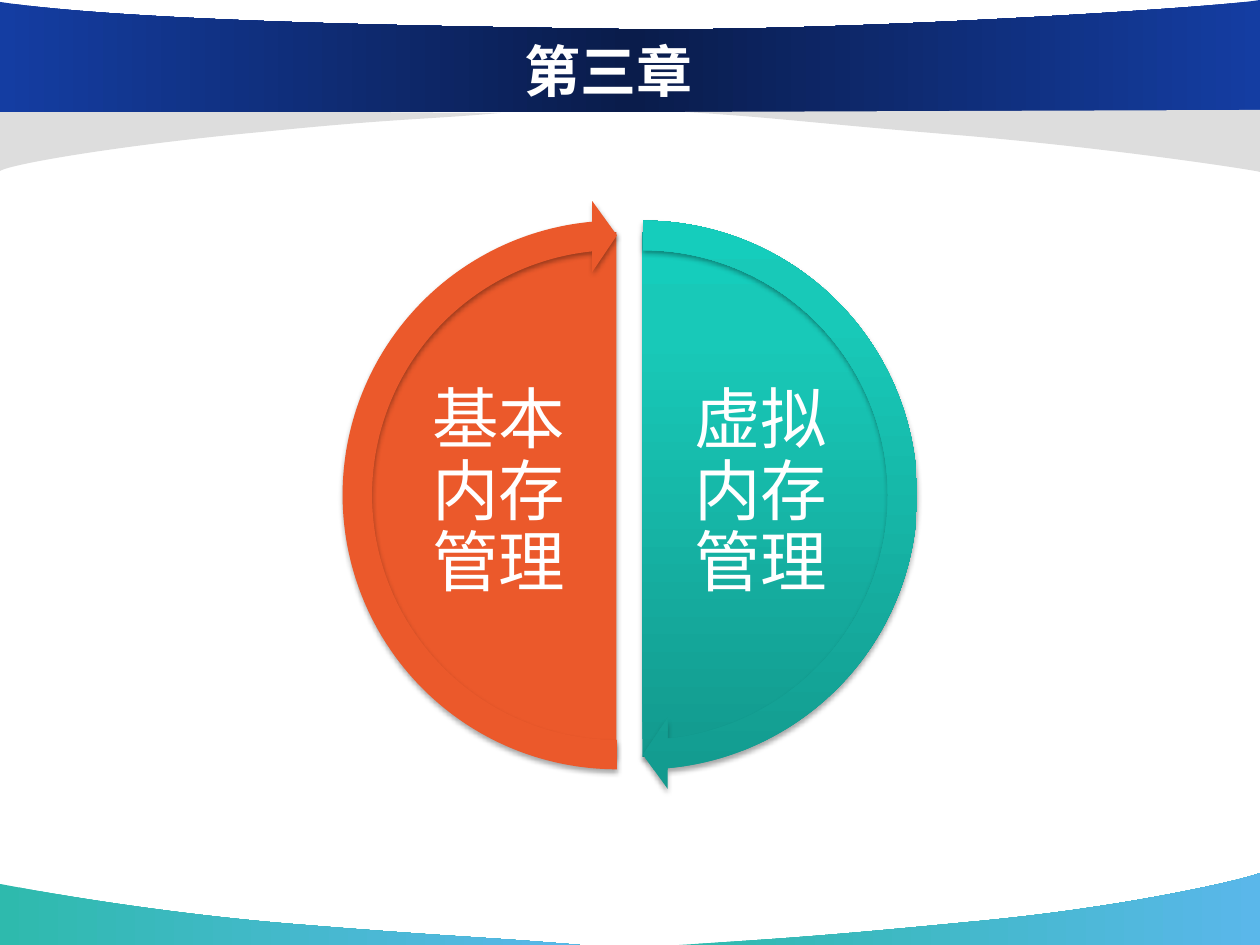
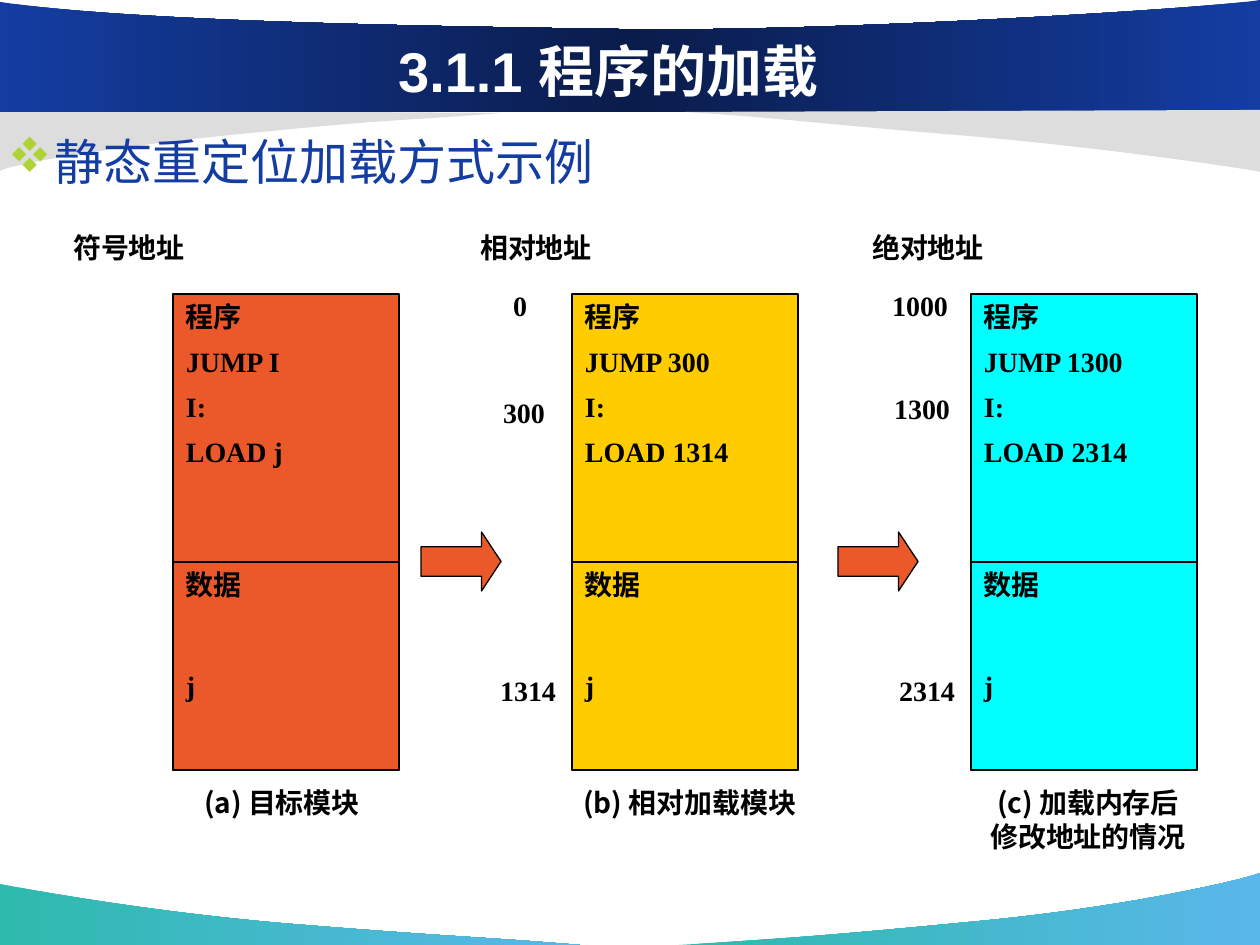
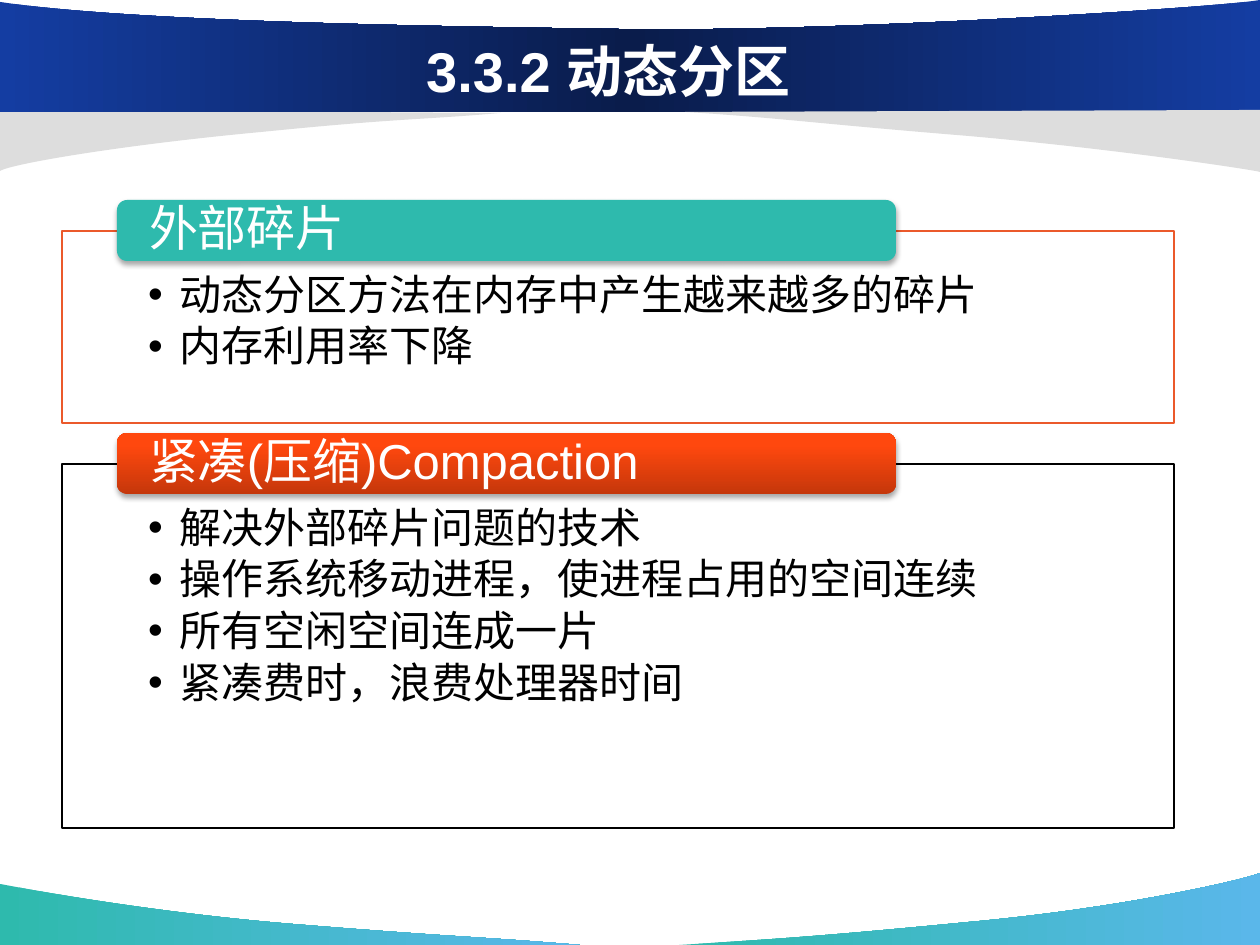
from lxml.etree import SubElement
from pptx import Presentation
from pptx.dml.color import RGBColor
from pptx.enum.shapes import MSO_SHAPE as Preset
from pptx.enum.text import MSO_ANCHOR as Anchor, PP_ALIGN as Align
from pptx.oxml.ns import qn
from pptx.util import Pt

SCALE = 914400 / 126
WIDTH, HEIGHT = 1260, 945
HAN_FONT = "Noto Sans CJK SC"

COLORS = {
    "white": "FFFFFF", "black": "000000", "grey": "DDDDDD", "blue": "143DA2",
    "navy": "0A1C4B", "teal": "2EBAAD", "sky": "5AB7EA", "orange": "EB592B",
    "yellow": "FFCC00", "cyan": "00FFFF", "lime": "AED337",
    "jade_dark": "139A8E", "jade": "18C9B8", "jade_light": "15CDBC",
    "rust": "C5370B", "flame": "FF480E", "flame_light": "FF4910",
}

FOOTER_GRADIENT = ([(0, "teal"), (100, "sky")], 0)
BANNER_GRADIENT = ([(0, "blue"), (50, "navy"), (100, "blue")], 0)
JADE_GRADIENT = ([(0, "jade_dark"), (80, "jade"), (100, "jade_light")], 90)
FLAME_GRADIENT = ([(0, "rust"), (80, "flame"), (100, "flame_light")], 90)

BANDS = [
    (FOOTER_GRADIENT, [(580, 945), (484, 937, 451, 937, 292, 924),
                       (134, 911, 1, 884, 0, 884), (0, 945)]),
    (FOOTER_GRADIENT, [(679, 945), (774, 939, 814, 937, 969, 922),
                       (1124, 908, 1247, 879, 1260, 873), (1260, 945)]),
    ("grey", [(501, 113), (422, 120, 401, 118, 262, 132),
              (122, 145, 11, 164, 0, 171), (0, 110)]),
    (BANNER_GRADIENT, [(0, 112), (1260, 112), (1260, 0),
                       (1215, 8, 823, 33, 614, 29), (404, 26, 127, 21, 0, 2)]),
    ("grey", [(685, 112), (781, 118, 809, 123, 968, 136),
              (1126, 150, 1259, 171, 1260, 172), (1260, 110)]),
]

MODULES = [
    {"left": 173, "fill": "orange", "heading": ("符号地址", -129),
     "code": ["程序", "JUMP I", "I:", "LOAD j"], "addresses": [],
     "caption": ["(a) 目标模块"], "caption_box": (-10, 238)},
    {"left": 572, "fill": "yellow", "heading": ("相对地址", -121),
     "code": ["程序", "JUMP 300", "I:", "LOAD 1314"],
     "addresses": [("0", -111, -11), ("300", -107, 96), ("1314", -103, 374)],
     "caption": ["(b) 相对加载模块"], "caption_box": (-9, 254)},
    {"left": 971, "fill": "cyan", "heading": ("绝对地址", -128),
     "code": ["程序", "JUMP 1300", "I:", "LOAD 2314"],
     "addresses": [("1000", -110, -11), ("1300", -108, 92), ("2314", -103, 374)],
     "caption": ["(c) 加载内存后", "修改地址的情况"], "caption_box": (-10, 254)},
]

TOPICS = [
    ("外部碎片", "teal", "orange", (62, 231, 1112, 192),
     ["动态分区方法在内存中产生越来越多的碎片", "内存利用率下降"]),
    ("紧凑(压缩)Compaction", FLAME_GRADIENT, "black", (62, 464, 1112, 364),
     ["解决外部碎片问题的技术", "操作系统移动进程，使进程占用的空间连续",
      "所有空闲空间连成一片", "紧凑费时，浪费处理器时间"]),
]


def px(length):
    """Turn px into EMU."""
    return round(length * SCALE)


def rgb(color):
    """Look up a palette colour."""
    return RGBColor.from_string(COLORS[color])


def paint(shape, fill=None, line=None, shadow=False):
    """Set fill, outline and shadow; a gradient fill is (stops, angle)."""
    if fill is None:
        shape.fill.background()
    elif isinstance(fill, str):
        shape.fill.solid()
        shape.fill.fore_color.rgb = rgb(fill)
    else:
        stops, angle = fill
        shape.fill.gradient()
        shape.fill.gradient_angle = angle
        stop_list = shape._element.spPr.find(qn("a:gradFill")).find(qn("a:gsLst"))
        for old_stop in list(stop_list):
            stop_list.remove(old_stop)
        for percent, color in stops:
            stop = SubElement(stop_list, qn("a:gs"), pos=str(percent * 1000))
            SubElement(stop, qn("a:srgbClr"), val=COLORS[color])
    if line:
        shape.line.color.rgb = rgb(line)
        shape.line.width = Pt(0.75)
    else:
        shape.line.fill.background()
    shape.shadow.inherit = False
    if shadow:
        effects = shape._element.spPr.find(qn("a:effectLst"))
        outer = SubElement(effects, qn("a:outerShdw"), blurRad=str(Pt(3.1)),
                           dist=str(Pt(1.8)), dir="5400000", rotWithShape="0")
        tint = SubElement(outer, qn("a:srgbClr"), val=COLORS["black"])
        SubElement(tint, qn("a:alpha"), val="35000")


def add_preset(slide, preset, box, fill=None, line=None, shadow=False, adjust=()):
    """Add a painted preset shape."""
    shape = slide.shapes.add_shape(preset, *map(px, box))
    for index, value in enumerate(adjust):
        shape.adjustments[index] = value
    paint(shape, fill, line, shadow)
    return shape


def write(shape, lines, size, color="black", font="Arial", bold=False,
          align=Align.LEFT, anchor=Anchor.TOP, insets=(13, 6, 13, 6),
          spacing=None, after=0):
    """Write styled paragraphs into a shape and return them."""
    frame = shape.text_frame
    frame.text = "\n".join(lines)
    frame.word_wrap = True
    frame.vertical_anchor = anchor
    (frame.margin_left, frame.margin_top,
     frame.margin_right, frame.margin_bottom) = map(px, insets)
    for paragraph in frame.paragraphs:
        paragraph.alignment = align
        paragraph.space_after = Pt(after)
        if spacing:
            paragraph.line_spacing = spacing
        for run in paragraph.runs:
            run.font.size = Pt(size)
            run.font.bold = bold
            run.font.color.rgb = rgb(color)
            run.font.name = font
            SubElement(run._r.get_or_add_rPr(), qn("a:ea"), typeface=HAN_FONT)
    return frame.paragraphs


def add_text(slide, box, lines, size, **style):
    """Add a text box."""
    return write(slide.shapes.add_textbox(*map(px, box)), lines, size, **style)


def add_bullet(paragraph, mark, indent, color, font):
    """Give a paragraph a hanging bullet."""
    properties = paragraph._p.get_or_add_pPr()
    properties.set("marL", str(px(indent)))
    properties.set("indent", str(-px(indent)))
    tint = SubElement(properties, qn("a:buClr"))
    SubElement(tint, qn("a:srgbClr"), val=COLORS[color])
    SubElement(properties, qn("a:buFont"), typeface=font)
    SubElement(properties, qn("a:buChar"), char=mark)


def add_band(slide, fill, outline):
    """Draw a band whose six-number segments are cubic curves."""
    ends = [(px(segment[-2]), px(segment[-1])) for segment in outline]
    builder = slide.shapes.build_freeform(*ends[0], scale=1.0)
    builder.add_line_segments(ends[1:], close=True)
    band = builder.convert_to_shape()
    sides = list(band._element.spPr.iter(qn("a:lnTo")))
    for side, segment in zip(sides, outline[1:]):
        if len(segment) == 6:
            side.tag = qn("a:cubicBezTo")
            side.remove(side[0])
            for x, y in zip(segment[::2], segment[1::2]):
                SubElement(side, qn("a:pt"), x=str(px(x) - band.left),
                           y=str(px(y) - band.top))
    paint(band, fill)


def start_slide(deck, title):
    """Add a slide with the shared bands and title."""
    slide = deck.slides.add_slide(deck.slide_layouts[6])
    for fill, outline in BANDS:
        add_band(slide, fill, outline)
    add_text(slide, (115, 31, 987, 78), [title], 32, color="white", bold=True,
             align=Align.CENTER, anchor=Anchor.MIDDLE)
    return slide


def add_cycle(slide, left, top):
    """Draw two half discs with their labels and circling arrows."""
    halves = [("虚拟内存管理", JADE_GRADIENT, 26, 345, (162, 54), 50.725),
              ("基本内存管理", "orange", 0, 83, (54, 162), 158.725)]
    for label, fill, shift, label_shift, angles, _ in halves:
        add_preset(slide, Preset.PIE, (left + shift + 32, top + 32, 525, 525),
                   fill, shadow=True, adjust=angles)
        add_text(slide, (left + label_shift, top + 169, 188, 249), [label], 38,
                 color="white", align=Align.CENTER, anchor=Anchor.MIDDLE,
                 insets=(6, 6, 6, 6), spacing=0.9)
    for _, fill, shift, _, angles, end in halves:
        add_preset(slide, Preset.CIRCULAR_ARROW, (left + shift, top, 590, 590), fill,
                   shadow=True, adjust=(0.05, 3.28, end, angles[0], 0.06))


def add_module(slide, module, top):
    """Draw one memory module with its addresses and caption."""
    left = module["left"]
    serif = {"font": "Times New Roman", "bold": True}
    centred = {"bold": True, "align": Align.CENTER}
    program = add_preset(slide, Preset.RECTANGLE, (left, top, 226, 476),
                         module["fill"], "black")
    write(program, module["code"], 16, after=6.4, **serif)
    data = add_preset(slide, Preset.RECTANGLE, (left, top + 268, 226, 208), line="black")
    write(data, ["数据", "j"], 16, **serif)[1].space_before = Pt(38)
    heading, shift = module["heading"]
    labels = [(heading, shift, -70, 170)]
    labels += [(*address, 118) for address in module["addresses"]]
    for label, across, down, width in labels:
        add_text(slide, (left + across, top + down, width, 59), [label], 16,
                 font="Times New Roman", **centred)
    shift, width = module["caption_box"]
    add_text(slide, (left + shift, top + 486, width, 59), module["caption"], 16,
             font=HAN_FONT, **centred)


def add_topic(slide, heading, tab_fill, border, box, points):
    """Draw a bordered list with a heading tab on its top edge."""
    left, top, _, _ = box
    panel = add_preset(slide, Preset.RECTANGLE, box, "white", border)
    tint = panel._element.spPr.find(qn("a:solidFill"))[0]
    SubElement(tint, qn("a:alpha"), val="90000")
    for paragraph in add_text(slide, box, points, 24, insets=(86, 43, 87, 24),
                              spacing=0.9, after=3.6):
        paragraph.level = 1
        add_bullet(paragraph, "•", 31, "black", "Arial")
    add_preset(slide, Preset.ROUNDED_RECTANGLE, (left + 55, top - 31, 779, 61),
               tab_fill, shadow=True)
    add_text(slide, (left + 58, top - 28, 774, 55), [heading], 28, color="white",
             anchor=Anchor.MIDDLE, insets=(29, 0, 29, 0), spacing=0.9)


def build_chapter(deck):
    """Build the chapter slide."""
    add_cycle(start_slide(deck, "第三章"), 322, 200)


def build_loading(deck):
    """Build the program loading slide."""
    slide = start_slide(deck, "3.1.1 程序的加载")
    topic = add_text(slide, (-5, 114, 1134, 683), ["静态重定位加载方式示例"], 28,
                     color="blue", spacing=1.2)
    add_bullet(topic[0], "v", 47, "lime", "Wingdings")
    for module in MODULES:
        add_module(slide, module, 294)
    for left in (838, 421):
        add_preset(slide, Preset.RIGHT_ARROW, (left, 532, 80, 59), "orange", "black",
                   adjust=(0.5, 0.33))


def build_partitions(deck):
    """Build the dynamic partition slide."""
    slide = start_slide(deck, "3.3.2 动态分区")
    for topic in TOPICS:
        add_topic(slide, *topic)


def main():
    """Build and save the deck."""
    deck = Presentation()
    deck.slide_width, deck.slide_height = px(WIDTH), px(HEIGHT)
    build_chapter(deck)
    build_loading(deck)
    build_partitions(deck)
    deck.save("out.pptx")


if __name__ == "__main__":
    main()
